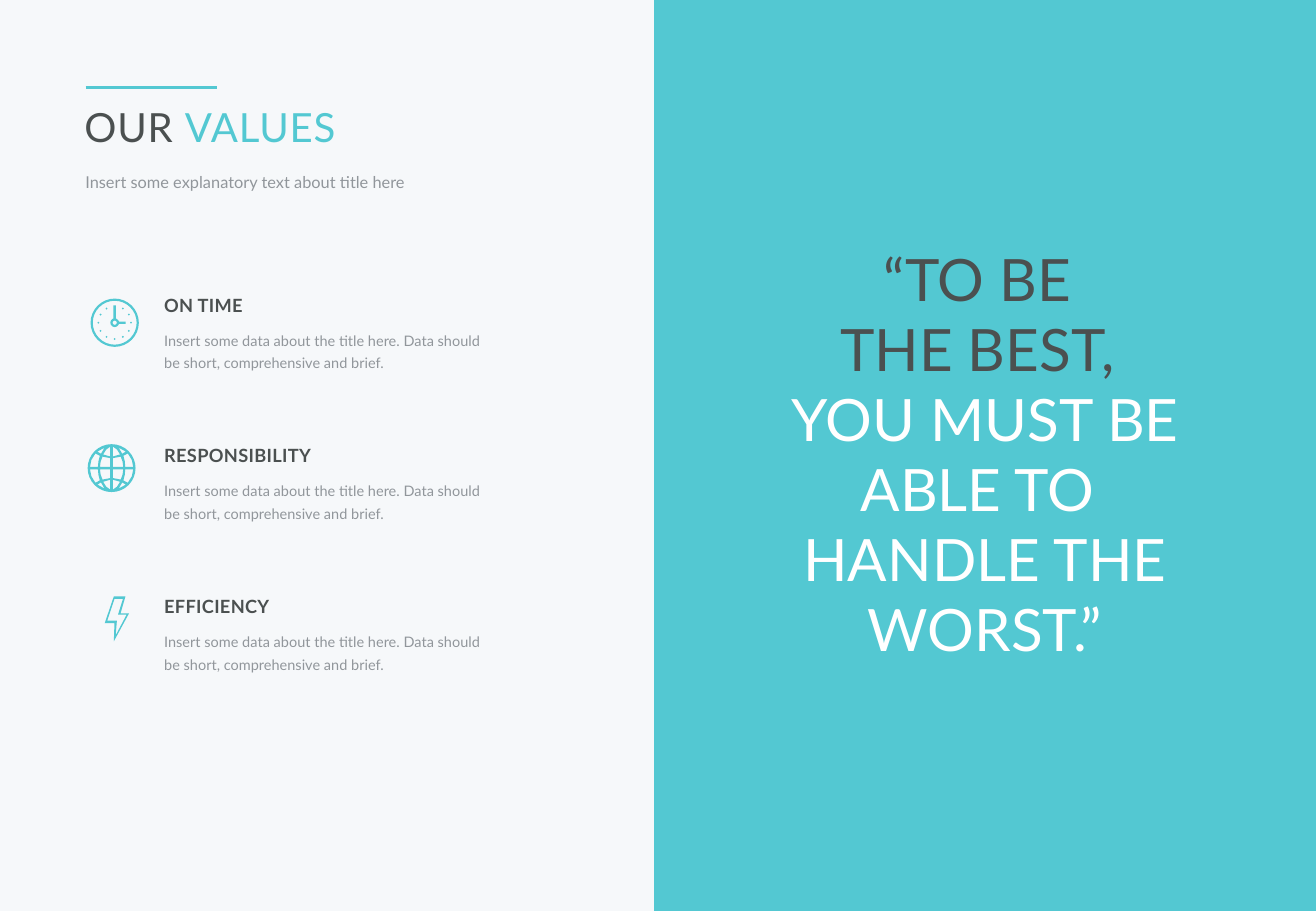
from math import cos, pi, sin
from lxml.etree import SubElement
from pptx import Presentation
from pptx.dml.color import RGBColor
from pptx.enum.shapes import MSO_CONNECTOR, MSO_SHAPE
from pptx.enum.text import MSO_ANCHOR, MSO_AUTO_SIZE, PP_ALIGN
from pptx.oxml.ns import qn
from pptx.util import Pt

TEAL = RGBColor(0x53, 0xC8, 0xD2)
DARK = RGBColor(0x4B, 0x50, 0x50)
GRAY = RGBColor(0x91, 0x96, 0x9B)
WHITE = RGBColor(0xFF, 0xFF, 0xFF)
PALE = RGBColor(0xF6, 0xF8, 0xFA)
DETAIL = ("Insert some data about the title here. "
          "Data should be short, comprehensive and brief.")
CELLS = (
    ((0.8, 12.7), (3.2, 11), (5, 8.1), (0.8, 6.9)),
    ((4.2, 12.1), (8.4, 9.8), (6.3, 8.5)),
    ((0.8, 5.9), (5.4, 6.8), (6.5, 3.8), (6.9, 0.7), (0.8, 0.7)),
    ((12.8, 0.7), (8.1, 0.7), (7.8, 4), (7, 7.3), (9.6, 8.7), (12, 4.8)),
)
BOLT = (
    ((-1.7, -13.3), (5.2, -13.3), (2.3, -3.2), (7.3, -3.2),
     (-1.7, 13.4), (-1.3, 2.6), (-7.1, 2.6)),
    ((-1.3, -11.8), (3.7, -11.8), (0.8, -2.5), (5.9, -2.5),
     (-0.6, 9.8), (0.1, 1.1), (-5.6, 1.1)),
)


def set_frame(shape):
    frame = shape.text_frame
    frame.margin_left = frame.margin_right = 0
    frame.margin_top = frame.margin_bottom = 0
    frame.word_wrap = True
    frame.auto_size = MSO_AUTO_SIZE.NONE
    frame.vertical_anchor = MSO_ANCHOR.TOP
    return frame


def set_run(run, size, color, bold=False, track=0):
    font = run.font
    font.name = "Lato"
    font.size = Pt(size)
    font.bold = bold
    font.color.rgb = color
    if track:
        run._r.get_or_add_rPr().set("spc", str(track))


def add_text(slide, box, text, size, color, lead=None, **style):
    shape = slide.shapes.add_textbox(*map(Pt, box))
    frame = set_frame(shape)
    frame.text = text
    line = frame.paragraphs[0]
    line.line_spacing = lead
    set_run(line.runs[0], size, color, **style)


def add_line(slide, start, end, width):
    line = slide.shapes.add_connector(MSO_CONNECTOR.STRAIGHT, *map(Pt, start + end))
    line.line.color.rgb = TEAL
    line.line.width = Pt(width)
    SubElement(line._element.spPr, qn("a:effectLst"))


def set_fill(shape):
    shape.shadow.inherit = False
    shape.fill.solid()
    shape.fill.fore_color.rgb = TEAL
    shape.line.fill.background()


def add_icon(slide, x, y, loops):
    loops = [[(Pt(x + dx), Pt(y + dy)) for dx, dy in loop] for loop in loops]
    icon = slide.shapes.build_freeform(*loops[0][0])
    for loop in loops:
        icon.move_to(*loop[0])
        icon.add_line_segments(loop[1:], close=True)
    set_fill(icon.convert_to_shape())


def ring(size, count, x=0, y=0):
    turns = [2 * pi * step / count for step in range(count)]
    return [(x + size * sin(turn), y - size * cos(turn)) for turn in turns]


def clock():
    dots = [ring(0.6, 4, x, y) for x, y in ring(9.7, 12)[1:]]
    hub = ring(2.6, 12)
    hands = [(-0.7, -10.3), (0.7, -10.3), (0.7, -2.5), *hub[1:3],
             (2.5, -0.7), (6.5, -0.7), (6.5, 0.7), (2.5, 0.7),
             *hub[4:12], (-0.7, -2.5)]
    return [ring(14.3, 32), ring(13, 32), hands, ring(1.3, 8), *dots]


def globe():
    cells = [[(x * side, y * way) for x, y in cell]
             for cell in CELLS for side in (-1, 1) for way in (-1, 1)]
    return [ring(14.2, 32), *cells]


def add_title(slide):
    title = slide.shapes.title
    title.left, title.top, title.width, title.height = map(Pt, (50, 60.5, 280, 28.8))
    frame = set_frame(title)
    line = frame.paragraphs[0]
    line.alignment = PP_ALIGN.LEFT
    for text, color in (("OUR ", DARK), ("VALUES", TEAL)):
        run = line.add_run()
        run.text = text
        set_run(run, 23.8, color, track=55)


def add_quote(slide):
    shape = slide.shapes.add_textbox(*map(Pt, (435.6, 144, 296.6, 252)))
    frame = set_frame(shape)
    frame.text = "“TO BE \nTHE BEST, \nYOU MUST BE ABLE TO \nHANDLE THE WORST.”"
    for line, color in zip(frame.paragraphs, (DARK, DARK, WHITE, WHITE)):
        line.alignment = PP_ALIGN.CENTER
        set_run(line.runs[0], 34.65, color)


def main():
    deck = Presentation()
    deck.slide_width, deck.slide_height = Pt(780), Pt(540)
    slide = deck.slides.add_slide(deck.slide_layouts[5])
    slide.background.fill.solid()
    slide.background.fill.fore_color.rgb = PALE

    panel = slide.shapes.add_shape(
        MSO_SHAPE.RECTANGLE, *map(Pt, (387.8, 0, 392.2, 540)))
    set_fill(panel)
    add_quote(slide)
    add_line(slide, (50.7, 51.9), (128.7, 51.9), 2.25)
    add_title(slide)
    add_text(slide, (50.6, 101.5, 280, 12),
             "Insert some explanatory text about title here", 9.7, GRAY, Pt(12))

    for row, name in enumerate(("ON TIME", "RESPONSIBILITY", "EFFICIENCY")):
        top = 174.3 + 89.3 * row
        add_text(slide, (97.3, top, 191.5, 13), name, 10.8, DARK, bold=True, track=20)
        add_text(slide, (97.3, top + 19.2, 191.5, 27.4), DETAIL, 8.6, GRAY, 1.3)
    add_icon(slide, 68, 191.3, clock())
    add_icon(slide, 66.2, 277.5, globe())
    add_icon(slide, 69.2, 366.8, BOLT)

    deck.save("out.pptx")


if __name__ == "__main__":
    main()
